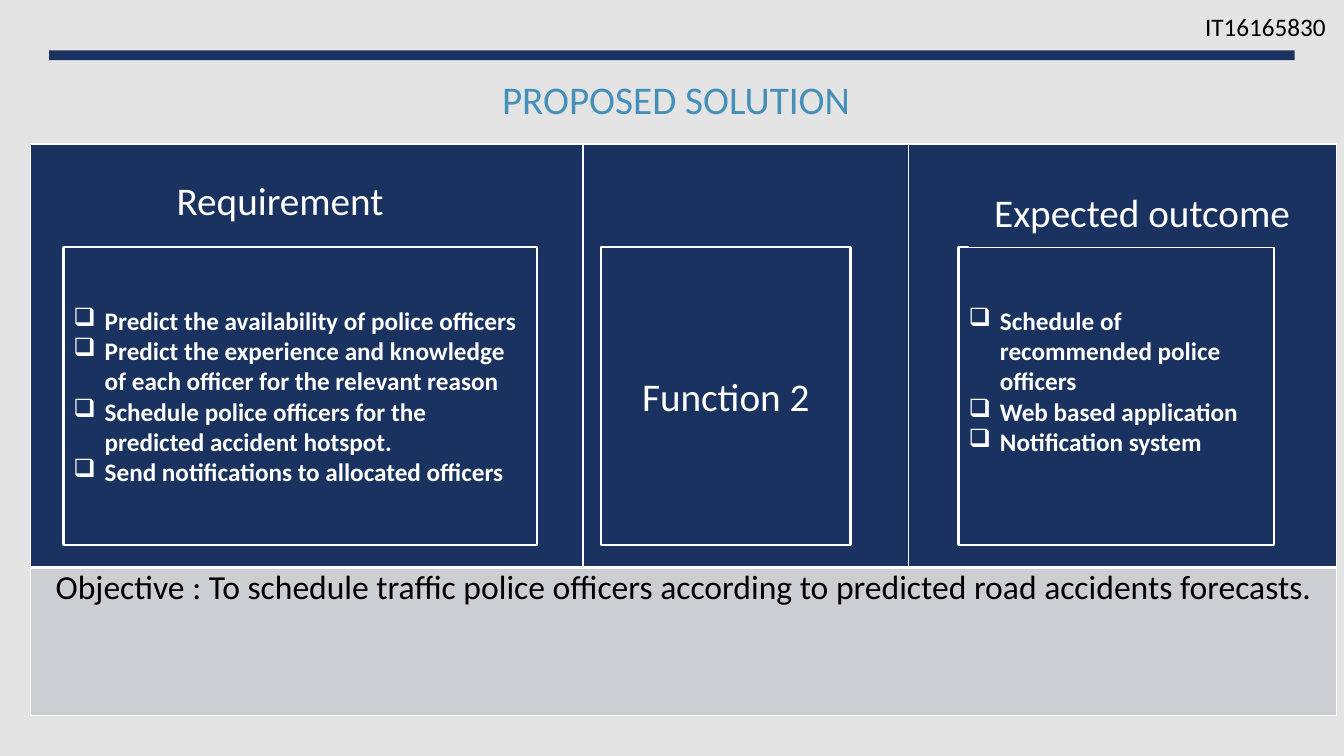
from dataclasses import dataclass

from lxml import etree
from pptx import Presentation
from pptx.dml.color import RGBColor
from pptx.enum.shapes import MSO_SHAPE
from pptx.enum.text import MSO_ANCHOR, PP_ALIGN
from pptx.oxml.ns import qn
from pptx.util import Cm, Pt

RECTANGLE = MSO_SHAPE.RECTANGLE
TOP, MIDDLE = MSO_ANCHOR.TOP, MSO_ANCHOR.MIDDLE
LEFT, CENTER = PP_ALIGN.LEFT, PP_ALIGN.CENTER


@dataclass(frozen=True)
class Theme:
    font: str = "Calibri"
    background: RGBColor = RGBColor(0xE4, 0xE4, 0xE4)
    navy: RGBColor = RGBColor(0x1A, 0x32, 0x60)
    title: RGBColor = RGBColor(0x45, 0x90, 0xB8)
    objective: RGBColor = RGBColor(0xCD, 0xCE, 0xD2)
    white: RGBColor = RGBColor(0xFF, 0xFF, 0xFF)
    black: RGBColor = RGBColor(0, 0, 0)
    heading: Pt = Pt(28)
    statement: Pt = Pt(24)
    body: Pt = Pt(18)


theme = Theme()


def write(frame, lines, size, color, align=CENTER, anchor=MIDDLE, bullets=False):
    """Fill a text frame with equally formatted paragraphs, bold if bulleted."""
    frame.text = "\n".join(lines)
    frame.word_wrap = True
    frame.vertical_anchor = anchor
    for paragraph in frame.paragraphs:
        paragraph.alignment = align
        paragraph.font.name = theme.font
        paragraph.font.size = size
        paragraph.font.color.rgb = color
        if bullets:
            paragraph.font.bold = True
            properties = paragraph._p.get_or_add_pPr()
            properties.set("marL", str(Cm(0.79)))
            properties.set("indent", str(Cm(-0.79)))
            bullet = etree.Element(qn("a:buChar"), char="❑")
            properties.insert_element_before(bullet, "a:tabLst", "a:defRPr", "a:extLst")


def add_box(left, top, width, height, outlined=False):
    box = slide.shapes.add_shape(RECTANGLE, Cm(left), Cm(top), Cm(width), Cm(height))
    box.shadow.inherit = False
    box.fill.solid()
    box.fill.fore_color.rgb = theme.navy
    if outlined:
        box.line.color.rgb = theme.white
        box.line.width = Pt(1.75)
    else:
        box.line.fill.background()
    return box


presentation = Presentation()
presentation.slide_width, presentation.slide_height = Cm(33.87), Cm(19.05)
slide = presentation.slides.add_slide(presentation.slide_layouts[5])
slide.background.fill.solid()
slide.background.fill.fore_color.rgb = theme.background

title = slide.shapes.title
title.left, title.top, title.width, title.height = Cm(1.72), Cm(1.78), Cm(30.63), Cm(3.05)
write(title.text_frame, ["PROPOSED SOLUTION"], theme.heading, theme.title, anchor=TOP)

add_box(1.24, 1.27, 31.39, 0.25)

student_id = slide.shapes.add_textbox(Cm(30.12), Cm(0.15), Cm(3.63), Cm(1.02))
write(student_id.text_frame, ["IT16165830"], theme.body, theme.black, LEFT, TOP)

# Table: three navy columns above one merged objective row
column_widths, row_heights = (13.92, 8.2, 10.8), (10.67, 3.73)
table = slide.shapes.add_table(
    2, 3, Cm(0.77), Cm(3.63), Cm(sum(column_widths)), Cm(sum(row_heights))
).table
for column, width in zip(table.columns, column_widths):
    column.width = Cm(width)
for row, height, fill, thick_side in zip(
    table.rows, row_heights, (theme.navy, theme.objective), ("lnB", "lnT")
):
    row.height = Cm(height)
    for cell in row.cells:
        cell.fill.solid()
        cell.fill.fore_color.rgb = fill
        for position, side in enumerate(("lnL", "lnR", "lnT", "lnB")):
            border_width = Pt(3) if side == thick_side else Pt(1)
            border = etree.Element(qn(f"a:{side}"), w=str(border_width))
            border_fill = etree.SubElement(border, qn("a:solidFill"))
            etree.SubElement(border_fill, qn("a:srgbClr"), val=str(theme.white))
            cell._tc.get_or_add_tcPr().insert(position, border)

objective = table.cell(1, 0)
objective.merge(table.cell(1, 2))
objective.margin_left = objective.margin_right = Cm(0)
objective.margin_top = objective.margin_bottom = Cm(0)
write(
    objective.text_frame,
    ["Objective : To schedule traffic police officers according to "
     "predicted road accidents forecasts."],
    theme.statement, theme.black, anchor=TOP,
)
objective.vertical_anchor = TOP

# Outlined panels share one top edge and height
panel_top, panel_height = 6.22, 7.52

function = add_box(15.14, panel_top, 6.3, panel_height, outlined=True)
write(function.text_frame, ["Function 2"], theme.heading, theme.white)

requirements = [
    "Predict the availability of police officers",
    "Predict the experience and knowledge of each officer for the relevant reason",
    "Schedule police officers for the predicted accident hotspot.",
    "Send notifications to allocated officers",
]
outcomes = [
    "Schedule of recommended police officers",
    "Web based application",
    "Notification system",
]
for left, width, items, bottom_margin in (
    (1.6, 11.94, requirements, 0.13),
    (24.16, 7.95, outcomes, 0.89),
):
    panel = add_box(left, panel_top, width, panel_height, outlined=True)
    panel.text_frame.margin_bottom = Cm(bottom_margin)
    write(panel.text_frame, items, theme.body, theme.white, LEFT, bullets=True)

for heading, bounds, bottom_margin in (
    ("Requirement", (3.35, 4.83, 7.42, 1.04), 0.76),
    ("Expected outcome", (24.41, 4.47, 8.74, 1.75), 0.13),
):
    label = add_box(*bounds)
    label.text_frame.margin_bottom = Cm(bottom_margin)
    write(label.text_frame, [heading], theme.heading, theme.white)

presentation.save("out.pptx")
